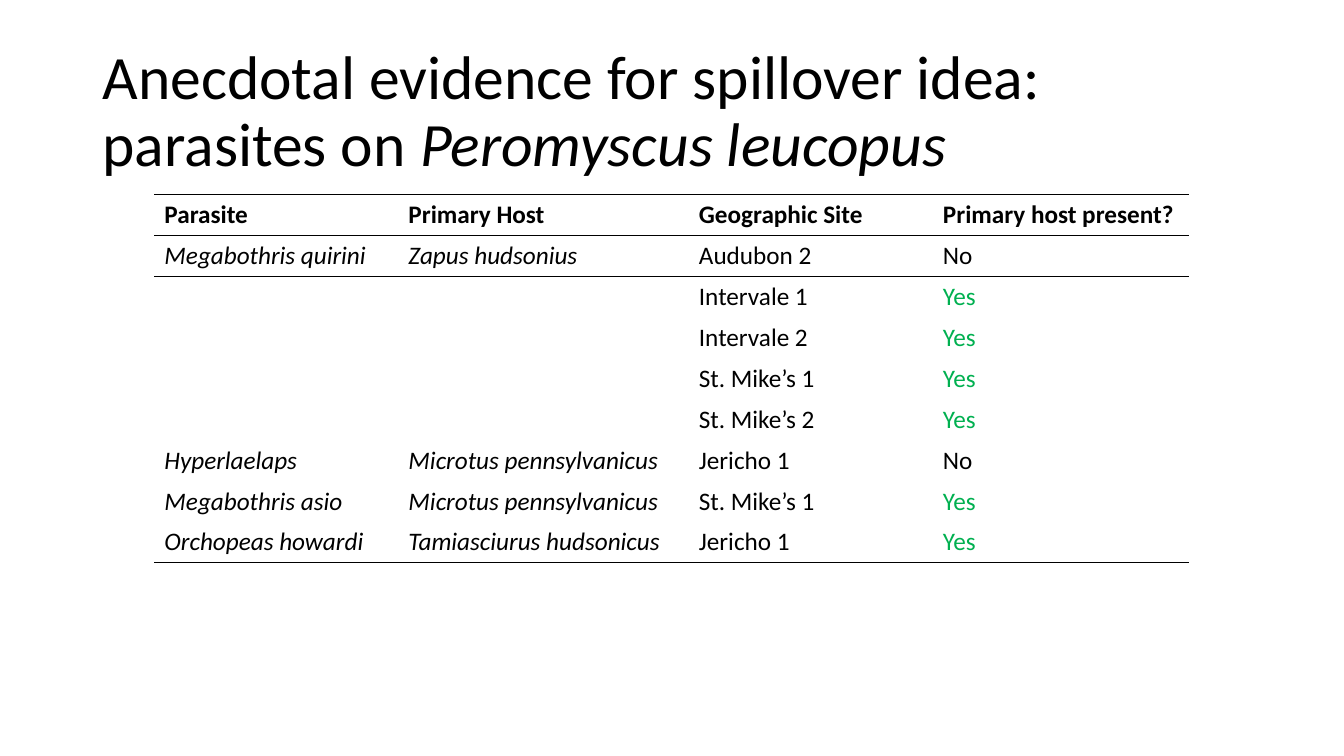
from lxml.etree import SubElement
from pptx import Presentation
from pptx.dml.color import RGBColor
from pptx.enum.text import MSO_ANCHOR, PP_ALIGN
from pptx.oxml.ns import qn
from pptx.util import Cm, Pt

BLACK = RGBColor(0x00, 0x00, 0x00)
GREEN = RGBColor(0x00, 0xB0, 0x50)
NO_STYLE_NO_GRID = "{2D5ABB26-0587-4C30-8999-92F81FD0307C}"


def add_run(p, text, size, color=BLACK, bold=False, italic=False):
    r = p.add_run()
    r.text = text
    r.font.name = "Calibri"
    r.font.size = Pt(size)
    r.font.color.rgb = color
    r.font.bold = bold
    r.font.italic = italic


def add_border(cell, side):
    ln = SubElement(cell._tc.get_or_add_tcPr(), qn(f"a:{side}"), w=str(Pt(1)))
    fill = SubElement(ln, qn("a:solidFill"))
    SubElement(fill, qn("a:srgbClr"), val=str(BLACK))


prs = Presentation()
prs.slide_width, prs.slide_height = Cm(33.87), Cm(19.05)
s = prs.slides.add_slide(prs.slide_layouts[5])

title = s.shapes.title
title.left, title.top, title.width, title.height = Cm(2.33), Cm(1.01), Cm(29.21), Cm(3.68)
tf = title.text_frame
tf.word_wrap = True
tf.vertical_anchor = MSO_ANCHOR.MIDDLE
p = tf.paragraphs[0]
p.alignment = PP_ALIGN.LEFT
p.line_spacing = 0.9
add_run(p, "Anecdotal evidence for spillover idea: parasites on ", 44)
add_run(p, "Peromyscus leucopus", 44, italic=True)

rows = [
    ("Parasite", "Primary Host", "Geographic Site", "Primary host present?"),
    ("Megabothris quirini", "Zapus hudsonius", "Audubon 2", "No"),
    ("", "", "Intervale 1", "Yes"),
    ("", "", "Intervale 2", "Yes"),
    ("", "", "St. Mike’s 1", "Yes"),
    ("", "", "St. Mike’s 2", "Yes"),
    ("Hyperlaelaps", "Microtus pennsylvanicus", "Jericho 1", "No"),
    ("Megabothris asio", "Microtus pennsylvanicus", "St. Mike’s 1", "Yes"),
    ("Orchopeas howardi", "Tamiasciurus hudsonicus", "Jericho 1", "Yes"),
]
col_widths = [6.15, 7.32, 6.15, 6.46]
row_height = 1.03
last = len(rows) - 1

table = s.shapes.add_table(len(rows), len(col_widths), Cm(3.89), Cm(4.91),
                           Cm(sum(col_widths)), Cm(row_height * len(rows))).table
table.first_row = table.horz_banding = False
table._tbl.tblPr.find(qn("a:tableStyleId")).text = NO_STYLE_NO_GRID
for col, width in zip(table.columns, col_widths):
    col.width = Cm(width)

for i, row in enumerate(rows):
    table.rows[i].height = Cm(row_height)
    for j, text in enumerate(row):
        cell = table.cell(i, j)
        if i in (0, 1):
            add_border(cell, "lnT")
        if i in (0, last):
            add_border(cell, "lnB")
        cell.fill.background()
        if text:
            add_run(cell.text_frame.paragraphs[0], text, 18,
                    color=GREEN if text == "Yes" else BLACK,
                    bold=i == 0, italic=i > 0 and j < 2)

prs.save("out.pptx")
